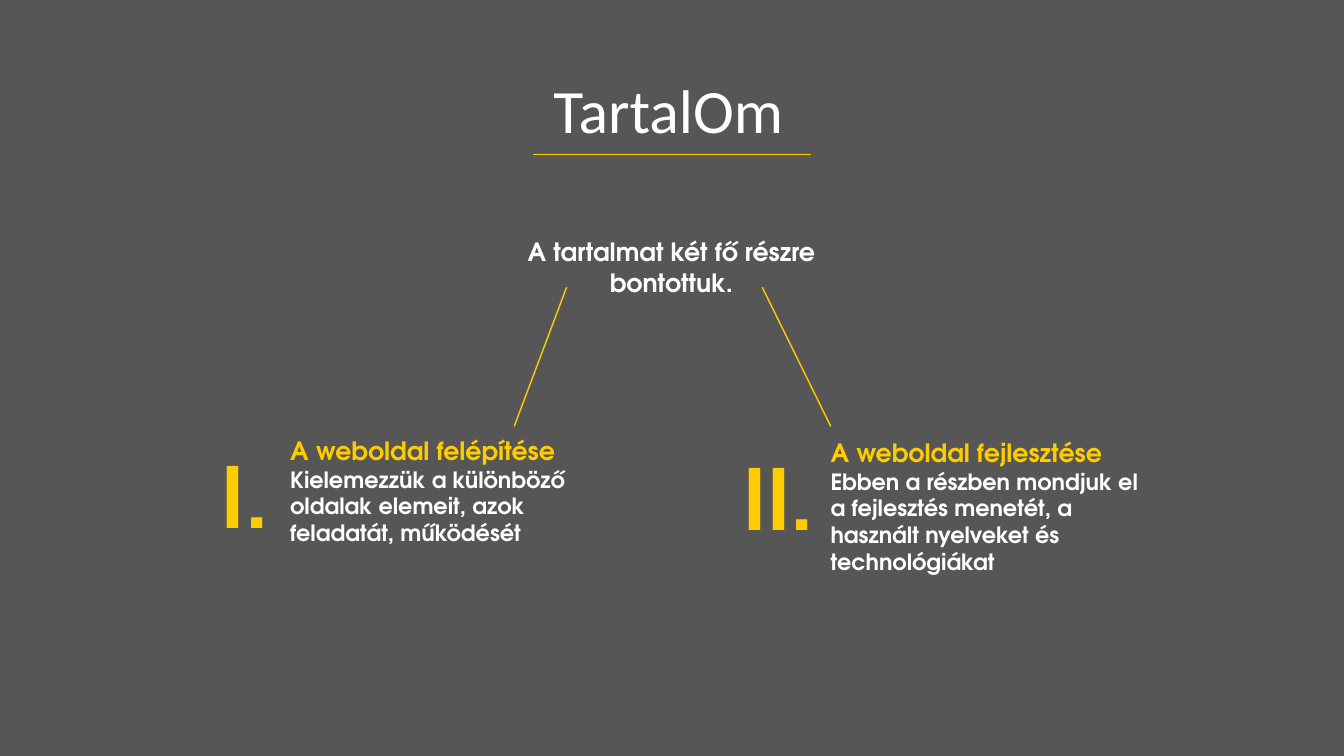
from lxml import etree
from pptx import Presentation
from pptx.dml.color import RGBColor
from pptx.enum.shapes import MSO_CONNECTOR as Connector
from pptx.enum.text import MSO_ANCHOR as Anchor, PP_ALIGN as Align
from pptx.oxml.ns import qn
from pptx.util import Inches, Pt

GREY, YELLOW, WHITE = "565656", "FFCC00", "FFFFFF"
BODY_FONT = "TeX Gyre Adventor"


def color(value):
    """Turn a hex string into a colour."""
    return RGBColor.from_string(value)


def add_text(page, box, lines, align=Align.LEFT, anchor=Anchor.TOP, spacing=1.0,
             name=BODY_FONT, bold=True):
    """Write lines of (text, size, colour) into a text box."""
    frame = page.shapes.add_textbox(*map(Inches, box)).text_frame
    frame.word_wrap = True
    frame.vertical_anchor = anchor
    for index, (text, size, shade) in enumerate(lines):
        para = frame.add_paragraph() if index else frame.paragraphs[0]
        para.alignment = align
        para.line_spacing = spacing
        span = para.add_run()
        span.text = text
        for key, value in {"name": name, "size": Pt(size), "bold": bold}.items():
            setattr(span.font, key, value)
        span.font.color.rgb = color(shade)


def add_line(page, start, end):
    """Draw a thin yellow line between two points."""
    line = page.shapes.add_connector(Connector.STRAIGHT, *map(Inches, start + end))
    line.line.color.rgb = color(YELLOW)
    line.line.width = Pt(1)
    etree.SubElement(line._element.spPr, qn("a:effectLst"))


def add_title(page, box):
    """Place the title and its underline."""
    left, top, width, height = box
    add_text(page, box, [("TartalOm", 44, WHITE)], Align.CENTER, Anchor.MIDDLE, 0.9,
             name="Calibri", bold=False)
    rule_left, rule_top = left + 4.41, top + 1.13
    add_line(page, (rule_left, rule_top), (rule_left + 2.75, rule_top))


def add_intro(page, box):
    """Place the introduction and the two lines that branch from it."""
    left, top, width, height = box
    add_text(page, box, [("A tartalmat két fő részre bontottuk.", 18, WHITE)], Align.CENTER)
    for start, end in ((2.98, 3.66), (1.04, 0.52)):
        add_line(page, (left + start, top + 0.55), (left + end, top + 1.93))


def add_part(page, box, numeral, text_offset, heading, details):
    """Place a numeral with a heading and details at its right."""
    left, top, width, height = box
    add_text(page, (left, top + 0.09, 1.35, 1.11), [(numeral, 60, YELLOW)], Align.CENTER)
    lines = [(heading, 18, YELLOW)] + [(detail, 16, WHITE) for detail in details]
    add_text(page, (left + text_offset, top, width - text_offset, height), lines)


def main():
    """Build and save the contents slide."""
    deck = Presentation()
    deck.slide_width, deck.slide_height = Inches(13.33), Inches(7.5)
    page = deck.slides.add_slide(deck.slide_layouts[6])
    page.background.fill.solid()
    page.background.fill.fore_color.rgb = color(GREY)
    add_title(page, (0.88, 0.4, 11.5, 1.45))
    add_part(page, (1.76, 4.27, 4.25, 1.21), "I.", 1.02, "A weboldal felépítése",
             ["Kielemezzük a különböző", "oldalak elemeit, azok feladatát, működését"])
    add_part(page, (7.05, 4.29, 4.52, 1.21), "II.", 1.09, "A weboldal fejlesztése",
             ["Ebben a részben mondjuk el",
              "a fejlesztés menetét, a használt nyelveket és technológiákat"])
    add_intro(page, (4.58, 2.3, 4.16, 0.4))
    deck.save("out.pptx")


if __name__ == "__main__":
    main()
